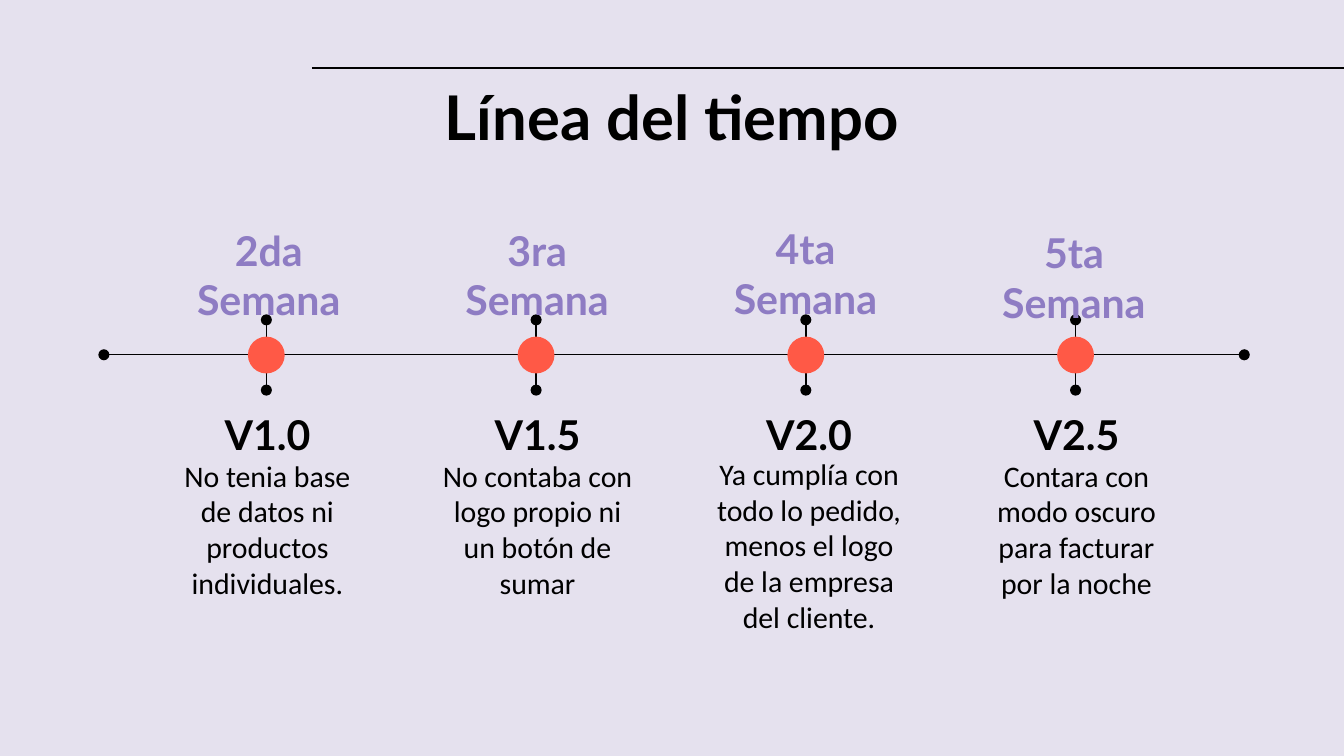
from pptx import Presentation
from pptx.dml.color import RGBColor
from pptx.enum.shapes import MSO_CONNECTOR, MSO_SHAPE
from pptx.enum.text import MSO_ANCHOR, PP_ALIGN
from pptx.oxml.ns import qn
from pptx.util import Inches, Pt
from lxml import etree

LINE, OVAL = MSO_CONNECTOR.STRAIGHT, MSO_SHAPE.OVAL
TOP, MID, CENTER = MSO_ANCHOR.TOP, MSO_ANCHOR.MIDDLE, PP_ALIGN.CENTER
INK, PAPER, LILAC, CORAL = "000000", "E5E1EE", "8E7CC3", "FF5946"
TITLE = {"name": "Lato", "size": Pt(33), "bold": True}
HEAD = {"name": "Lato", "size": Pt(22), "bold": True}
BODY = {"name": "Calibri", "size": Pt(16), "bold": False}
WEEKS = [
    ("2da Semana", 15.75, "V1.0", 11.4, 34.9,
     "No tenia base de datos ni productos individuales."),
    ("3ra Semana", 15.75, "V1.5", 31.5, 34.9,
     "No contaba con logo propio ni un botón de sumar"),
    ("4ta Semana", 15.65, "V2.0", 51.7, 36.1,
     "Ya cumplía con todo lo pedido, menos el logo de la empresa del cliente."),
    ("5ta Semana", 15.95, "V2.5", 71.6, 34.9,
     "Contara con modo oscuro para facturar por la noche"),
]


def tint(code):
    """Turn a hex string into a colour."""
    return RGBColor.from_string(code)


class Board:
    """Draw on one slide with a grid of 100 columns and 56.25 rows."""

    def __init__(self, deck):
        self.unit = deck.slide_width / 100
        self.slide = deck.slides.add_slide(deck.slide_layouts[6])
        fill = self.slide.background.fill
        fill.solid()
        fill.fore_color.rgb = tint(PAPER)

    def grid(self, *cells):
        """Turn columns and rows into lengths."""
        return [round(cell * self.unit) for cell in cells]

    def text(self, words, box, style, color=INK, anchor=TOP):
        """Add a centred block of text."""
        frame = self.slide.shapes.add_textbox(*self.grid(*box)).text_frame
        pad = self.grid(1)[0]
        form = {"word_wrap": True, "vertical_anchor": anchor,
                "margin_left": pad, "margin_right": pad,
                "margin_top": pad, "margin_bottom": pad}
        for key, value in form.items():
            setattr(frame, key, value)
        para = frame.paragraphs[0]
        para.alignment = CENTER
        run = para.add_run()
        run.text = words
        for key, value in style.items():
            setattr(run.font, key, value)
        run.font.color.rgb = tint(color)

    def line(self, ends, dots=True):
        """Add a thin line, with round ends if asked."""
        link = self.slide.shapes.add_connector(LINE, *self.grid(*ends))
        link.line.width = Pt(0.75)
        link.line.color.rgb = tint(INK)
        props = link._element.spPr
        if dots:
            for tag in ("a:headEnd", "a:tailEnd"):
                etree.SubElement(props.find(qn("a:ln")), qn(tag), type="oval")
        etree.SubElement(props, qn("a:effectLst"))

    def disc(self, x, y, size):
        """Add a coral disc around a point."""
        box = self.grid(x - size / 2, y - size / 2, size, size)
        shape = self.slide.shapes.add_shape(OVAL, *box)
        shape.shadow.inherit = False
        shape.fill.solid()
        shape.fill.fore_color.rgb = tint(CORAL)
        shape.line.fill.background()


def main():
    """Build the timeline slide."""
    deck = Presentation()
    deck.slide_width = Inches(10)
    deck.slide_height = deck.slide_width * 9 // 16
    board = Board(deck)
    board.line((23.2, 5.05, 100, 5.05), dots=False)
    board.text("Línea del tiempo", (7.8, 4.9, 84.4, 6.3), TITLE)
    board.line((7.73, 26.4, 92.58, 26.4))
    for i, (week, top, name, left, low, note) in enumerate(WEEKS):
        mid = 19.82 + 20.07 * i
        board.line((mid, 23.8, mid, 29.03))
        board.text(week, (11.5 + 19.97 * i, top, 17, 4.3), HEAD, LILAC)
        board.text(name, (left, 29.5, 17, 4.3), HEAD)
        board.text(note, (left, low, 17, 8.9), BODY, anchor=MID)
        board.disc(mid, 26.42, 2.74)
    deck.save("out.pptx")


if __name__ == "__main__":
    main()
